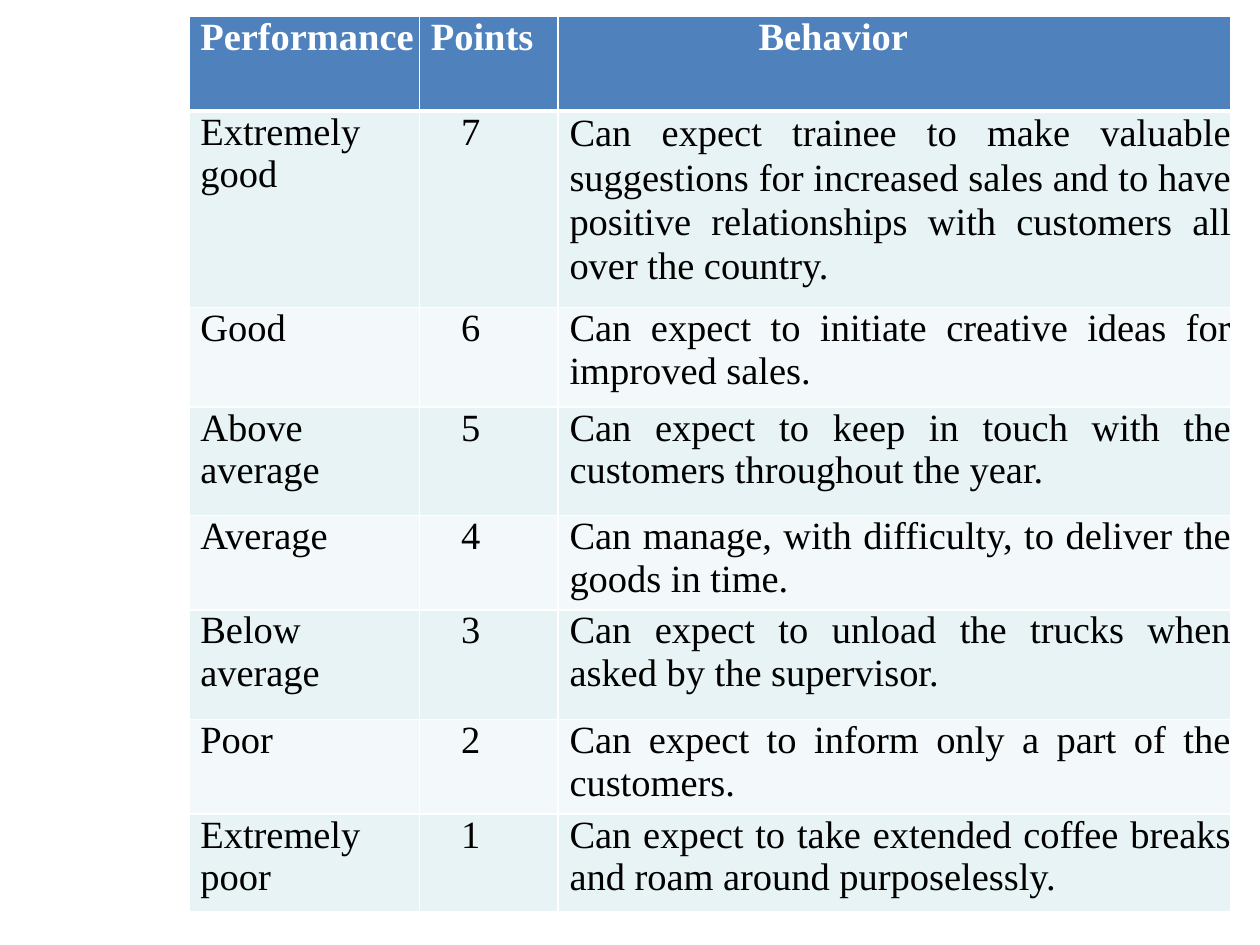
from lxml.etree import SubElement
from pptx import Presentation
from pptx.dml.color import RGBColor
from pptx.enum.text import PP_ALIGN
from pptx.oxml.ns import qn
from pptx.util import Inches, Pt

FONT = "Times New Roman"
HEADER_FILL, BAND_FILLS = "4F81BD", ("E7F3F4", "F3F9FA")
WHITE, BLACK = "FFFFFF", "000000"
LEFT, TOP = 1.5, 0.13
COLUMN_WIDTHS = (1.83, 1.1, 5.34)
ROW_HEIGHTS = (0.75, 1.56, 0.79, 0.86, 0.75, 0.87, 0.75, 0.78)
HEADER_INDENTS, BODY_INDENTS = (0.09, 0.09, 1.59), (0.09, 0.33, 0.09)
HEADINGS = ("Performance", "Points", "Behavior")
RATINGS = (
    ("Extremely good", "7", "Can expect trainee to make valuable suggestions for increased sales "
     "and to have positive relationships with customers all over the country."),
    ("Good", "6", "Can expect to initiate creative ideas for improved sales."),
    ("Above average", "5", "Can expect to keep in touch with the customers throughout the year."),
    ("Average", "4", "Can manage, with difficulty, to deliver the goods in time."),
    ("Below average", "3", "Can expect to unload the trucks when asked by the supervisor."),
    ("Poor", "2", "Can expect to inform only a part of the customers."),
    ("Extremely poor", "1", "Can expect to take extended coffee breaks and roam around purposelessly."),
)


def color(hex_string):
    """Turn a hex string into a colour."""
    return RGBColor.from_string(hex_string)


def write_text(cell, text, indent=0.09, size=22, ink=BLACK, bold=False, align=None, spacing=None):
    """Write one formatted paragraph into a cell."""
    paragraph = cell.text_frame.paragraphs[0]
    paragraph._p.get_or_add_pPr().set("marL", str(Inches(indent)))
    paragraph.alignment = align
    paragraph.line_spacing = spacing
    run = paragraph.add_run()
    run.text = text
    run.font.name, run.font.size, run.font.bold = FONT, Pt(size), bold
    run.font.color.rgb = color(ink)


def style_cell(cell, fill, top=1, bottom=1):
    """Set the margins, white borders and fill of a cell."""
    cell.margin_left = cell.margin_right = cell.margin_top = cell.margin_bottom = 0
    properties = cell._tc.get_or_add_tcPr()
    for side, width in (("L", 1), ("R", 1), ("T", top), ("B", bottom)):
        line = SubElement(properties, qn(f"a:ln{side}"), w=str(Pt(width)))
        solid = SubElement(line, qn("a:solidFill"))
        SubElement(solid, qn("a:srgbClr"), val=WHITE)
    cell.fill.solid()
    cell.fill.fore_color.rgb = color(fill)


def add_rating_table(slide):
    """Add an empty table with the widths and heights of the rating scale."""
    frame = slide.shapes.add_table(
        len(ROW_HEIGHTS), len(COLUMN_WIDTHS), Inches(LEFT), Inches(TOP),
        Inches(sum(COLUMN_WIDTHS)), Inches(sum(ROW_HEIGHTS)))
    table = frame.table
    for column, width in zip(table.columns, COLUMN_WIDTHS):
        column.width = Inches(width)
    for row, height in zip(table.rows, ROW_HEIGHTS):
        row.height = Inches(height)
    return table


def fill_header(table):
    """Fill the heading row."""
    for cell, text, indent in zip(table.rows[0].cells, HEADINGS, HEADER_INDENTS):
        style_cell(cell, HEADER_FILL, bottom=3)
        write_text(cell, text, indent=indent, ink=WHITE, bold=True)


def fill_ratings(table):
    """Fill the banded rows, one for each rating."""
    for index, rating in enumerate(RATINGS):
        first = index == 0
        for column, (text, indent) in enumerate(zip(rating, BODY_INDENTS)):
            cell = table.cell(index + 1, column)
            behavior = column == 2
            style_cell(cell, BAND_FILLS[index % 2], top=3 if first else 1)
            write_text(cell, text, indent=indent,
                       align=PP_ALIGN.JUSTIFY if behavior else None,
                       spacing=1.04 if behavior and first else None)


def main():
    """Build the slide and save it."""
    presentation = Presentation()
    presentation.slide_width, presentation.slide_height = Inches(10), Inches(7.5)
    slide = presentation.slides.add_slide(presentation.slide_layouts[6])
    table = add_rating_table(slide)
    fill_header(table)
    fill_ratings(table)
    presentation.save("out.pptx")


if __name__ == "__main__":
    main()
